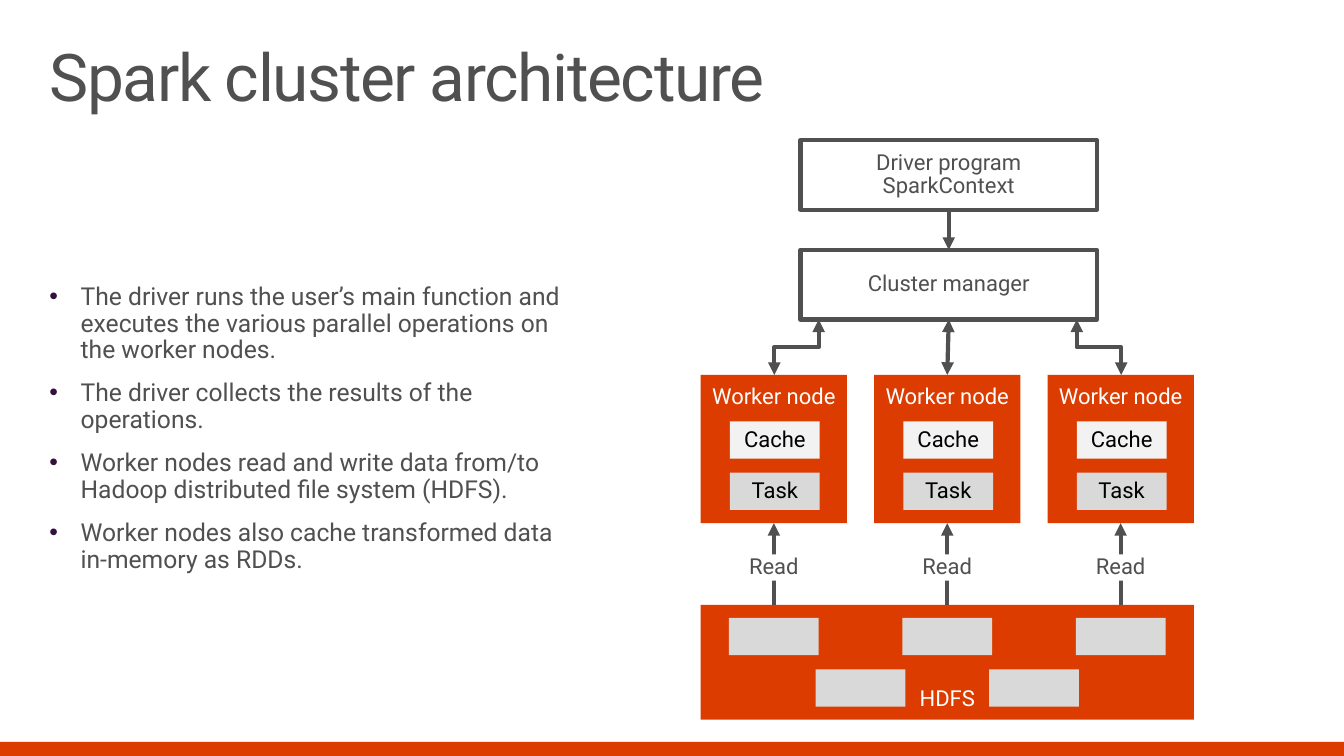
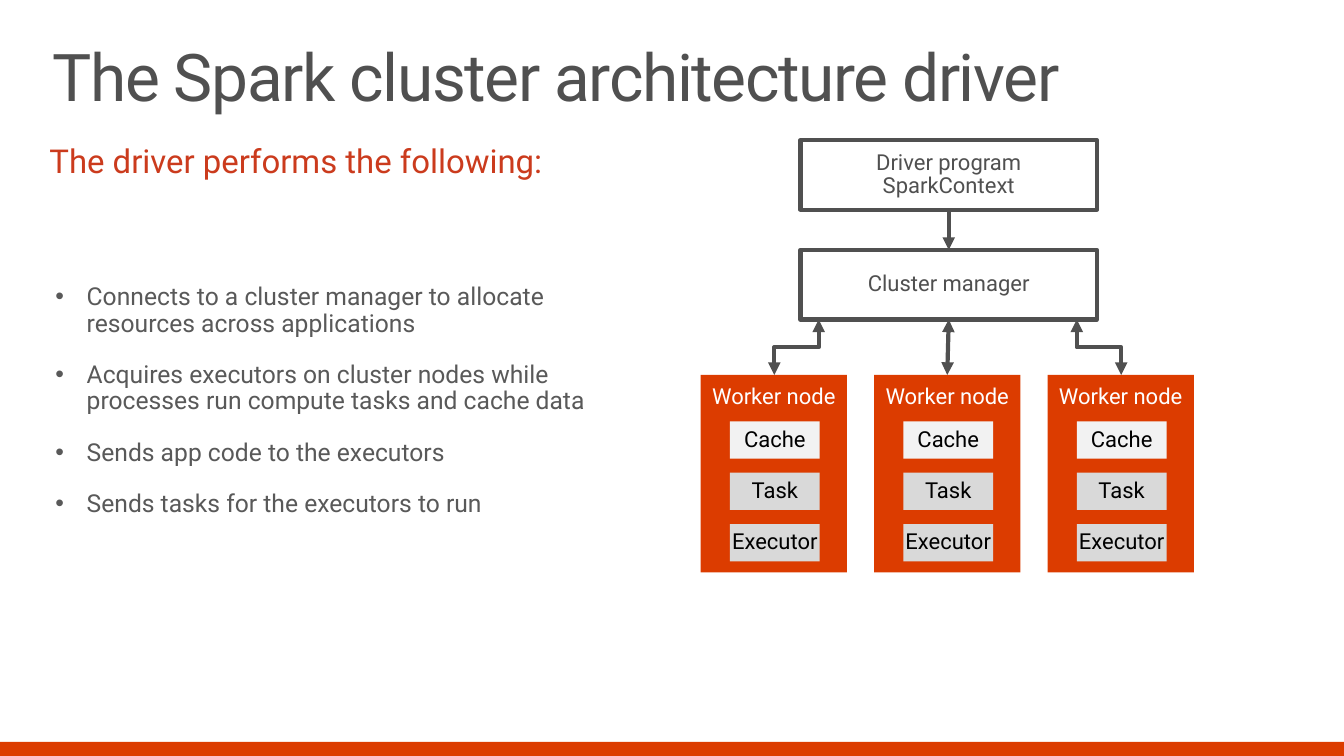
from lxml import etree
from pptx import Presentation
from pptx.dml.color import RGBColor
from pptx.enum.shapes import MSO_CONNECTOR, MSO_SHAPE
from pptx.enum.text import MSO_ANCHOR, PP_ALIGN
from pptx.oxml.ns import qn
from pptx.util import Inches, Pt

RECT = MSO_SHAPE.RECTANGLE
STRAIGHT, ELBOW = MSO_CONNECTOR.STRAIGHT, MSO_CONNECTOR.ELBOW
TOP, MIDDLE, BOTTOM = MSO_ANCHOR.TOP, MSO_ANCHOR.MIDDLE, MSO_ANCHOR.BOTTOM
LEFT, CENTER = PP_ALIGN.LEFT, PP_ALIGN.CENTER
SIDE_TOP, SIDE_BOTTOM = 0, 2

FONT = "Roboto"
LABEL_SIZE = 15.7
COLORS = {
    "orange": "DC3C00", "text": "505050", "body": "595959", "heading": "CB3B1D",
    "bullet": "34103D", "white": "FFFFFF", "black": "000000",
    "light": "F2F2F2", "grey": "D9D9D9",
}

# Diagram grid, in inches
WORKER_LEFT, WORKER_TOP, WORKER_WIDTH, WORKER_PITCH = 6.95, 3.72, 1.45, 1.72
PART_INDENT, PART_TOP, PART_PITCH = 0.29, 4.18, 0.51
PART_WIDTH, PART_HEIGHT = 0.89, 0.37
STORE_TOP = 6
MANAGER_BOTTOM = 3.17

SLIDES = [
    {
        "title": "Spark cluster architecture", "title_inset": 0.49,
        "heading": None,
        "bullets": [
            "The driver runs the user’s main function and executes the various "
            "parallel operations on the worker nodes.",
            "The driver collects the results of the operations.",
            "Worker nodes read and write data from/to Hadoop distributed file "
            "system (HDFS).",
            "Worker nodes also cache transformed data\vin-memory as RDDs.",
        ],
        "bullet_width": 5.93, "bullet_inset": 0.37, "body_color": "text",
        "bullet_style": {"margin": 0.43, "color": "bullet", "before": 5.8, "after": 6},
        "parts": [("Cache", "light"), ("Task", "grey")],
        "worker_height": 1.47, "has_store": True,
    },
    {
        "title": "The Spark cluster architecture driver", "title_inset": 0.52,
        "heading": "The driver performs the following:",
        "bullets": [
            "Connects to a cluster manager to allocate resources across applications",
            "Acquires executors on cluster nodes while processes run compute "
            "tasks and cache data",
            "Sends app code to the executors",
            "Sends tasks for the executors to run",
        ],
        "bullet_width": 6, "bullet_inset": 0.49, "body_color": "body",
        "bullet_style": {"margin": 0.37, "color": "body", "before": 0, "after": 17.6},
        "parts": [("Cache", "light"), ("Task", "grey"), ("Executor", "grey")],
        "worker_height": 1.96, "has_store": False,
    },
]


def set_text(shape, lines, size, color, insets=(0, 0, 0, 0), anchor=TOP,
             align=LEFT, wrap=True, bullet=None):
    """Fill a shape with styled paragraphs and return them."""
    frame = shape.text_frame
    frame.word_wrap = wrap
    frame.vertical_anchor = anchor
    (frame.margin_left, frame.margin_top,
     frame.margin_right, frame.margin_bottom) = map(Inches, insets)
    for i, line in enumerate(lines):
        paragraph = frame.paragraphs[0] if i == 0 else frame.add_paragraph()
        paragraph.text = line
        if bullet:
            properties = paragraph._p.get_or_add_pPr()
            properties.set("marL", str(Inches(bullet["margin"])))
            properties.set("indent", str(Inches(-0.31)))
            bullet_color = etree.SubElement(properties, qn("a:buClr"))
            etree.SubElement(bullet_color, qn("a:srgbClr"), val=COLORS[bullet["color"]])
            etree.SubElement(properties, qn("a:buFont"), typeface="Arial")
            etree.SubElement(properties, qn("a:buChar"), char="•")
            paragraph.space_before = Pt(bullet["before"] if i else 0)
            paragraph.space_after = Pt(bullet["after"])
        paragraph.alignment = align
        paragraph.line_spacing = 0.9
        paragraph.font.name = FONT
        paragraph.font.size = Pt(size)
        paragraph.font.color.rgb = RGBColor.from_string(COLORS[color])
    return frame.paragraphs


def add_box(slide, left, top, width, height, fill=None, label=None,
            color="text", anchor=MIDDLE, insets=(0, 0, 0, 0)):
    """Add a filled box, or an outlined one when no fill is given."""
    box = slide.shapes.add_shape(RECT, *map(Inches, (left, top, width, height)))
    box.shadow.inherit = False
    if fill:
        box.fill.solid()
        box.fill.fore_color.rgb = RGBColor.from_string(COLORS[fill])
        box.line.fill.background()
    else:
        box.fill.background()
        box.line.color.rgb = RGBColor.from_string(COLORS["text"])
        box.line.width = Pt(3)
    if label:
        set_text(box, [label], LABEL_SIZE, color, insets, anchor, CENTER, wrap=False)
    return box


prs = Presentation()
prs.slide_width, prs.slide_height = Inches(13.33), Inches(7.5)

for content in SLIDES:
    slide = prs.slides.add_slide(prs.slide_layouts[6])
    shapes = slide.shapes
    arrows = []  # (connector, has an arrowhead at its start)

    # Footer band and title
    add_box(slide, 0, 7.36, 13.33, 0.14, "orange")
    title = shapes.add_textbox(0, Inches(0.34), Inches(13.07), Inches(1.01))
    title_line = set_text(title, [content["title"]], 47, "text",
                          (content["title_inset"], 0.1, 0.16, 0.1))[0]
    title_line.runs[0]._r.get_or_add_rPr().set("spc", "-100")

    # Heading and bullets
    if content["heading"]:
        heading = shapes.add_textbox(0, Inches(1.28), Inches(5.88), Inches(0.79))
        set_text(heading, [content["heading"]], 23.5, "heading",
                 (0.49, 0.16, 0.2, 0.16))
    bullets = shapes.add_textbox(0, Inches(2.77), Inches(content["bullet_width"]),
                                 Inches(3))
    set_text(bullets, content["bullets"], 17.6, content["body_color"],
             (content["bullet_inset"], 0.05, 0.1, 0.05),
             bullet=content["bullet_style"])

    # Driver and cluster manager
    driver = add_box(slide, 7.94, 1.39, 2.94, 0.69,
                     label="Driver program\vSparkContext")
    manager = add_box(slide, 7.94, 2.48, 2.94, 0.69, label="Cluster manager")

    # Worker nodes and their parts
    workers = []
    for i in range(3):
        left = WORKER_LEFT + i * WORKER_PITCH
        workers.append(add_box(slide, left, WORKER_TOP, WORKER_WIDTH,
                               content["worker_height"], "orange", "Worker node",
                               "white", TOP, (0, 0.1, 0, 0)))
        for row, (part, fill) in enumerate(content["parts"]):
            add_box(slide, left + PART_INDENT, PART_TOP + row * PART_PITCH,
                    PART_WIDTH, PART_HEIGHT, fill, part, "black")

    # Straight arrows down to the manager and the middle worker
    for upper, lower, two_way in ((driver, manager, False),
                                  (manager, workers[1], True)):
        arrow = shapes.add_connector(STRAIGHT, 0, 0, 0, 0)
        arrow.begin_connect(upper, SIDE_BOTTOM)
        arrow.end_connect(lower, SIDE_TOP)
        arrows.append((arrow, two_way))

    # Elbow arrows from the outer workers up to the manager, turned upright
    rise, run = WORKER_TOP - MANAGER_BOTTOM, 0.44
    middle_y = (WORKER_TOP + MANAGER_BOTTOM) / 2
    for middle_x, side, turn in ((7.9, 1, 90), (10.9, -1, 270)):
        arrow = shapes.add_connector(
            ELBOW,
            Inches(middle_x + side * rise / 2), Inches(middle_y + run / 2),
            Inches(middle_x - side * rise / 2), Inches(middle_y - run / 2))
        arrow._element.spPr.find(qn("a:xfrm")).set("rot", str(turn * 60000))
        arrows.append((arrow, True))

    # HDFS store with its blocks, read by each worker
    if content["has_store"]:
        store = add_box(slide, WORKER_LEFT, STORE_TOP, 4.89, 1.14, "orange", "HDFS",
                        "white", BOTTOM, (0, 0, 0, 0.08))
        for row_left, row_top, count in ((7.23, 6.13, 3), (8.09, 6.64, 2)):
            for i in range(count):
                add_box(slide, row_left + i * WORKER_PITCH, row_top,
                        PART_WIDTH, PART_HEIGHT, "grey")
        for i, worker in enumerate(workers):
            center = WORKER_LEFT + i * WORKER_PITCH + WORKER_WIDTH / 2
            arrow = shapes.add_connector(STRAIGHT, Inches(center), Inches(STORE_TOP),
                                         Inches(center), Inches(5.19))
            if i == 1:
                arrow.begin_connect(store, SIDE_TOP)
            arrow.end_connect(worker, SIDE_BOTTOM)
            arrows.append((arrow, False))
            add_box(slide, center - 0.37, 5.5, 0.74, 0.26, "white", "Read")

    # Arrow style
    for arrow, two_way in arrows:
        arrow.line.color.rgb = RGBColor.from_string(COLORS["text"])
        arrow.line.width = Pt(3)
        line = arrow._element.spPr.find(qn("a:ln"))
        for end in ("headEnd", "tailEnd") if two_way else ("tailEnd",):
            etree.SubElement(line, qn(f"a:{end}"), type="triangle")
        etree.SubElement(arrow._element.spPr, qn("a:effectLst"))

prs.save("out.pptx")
